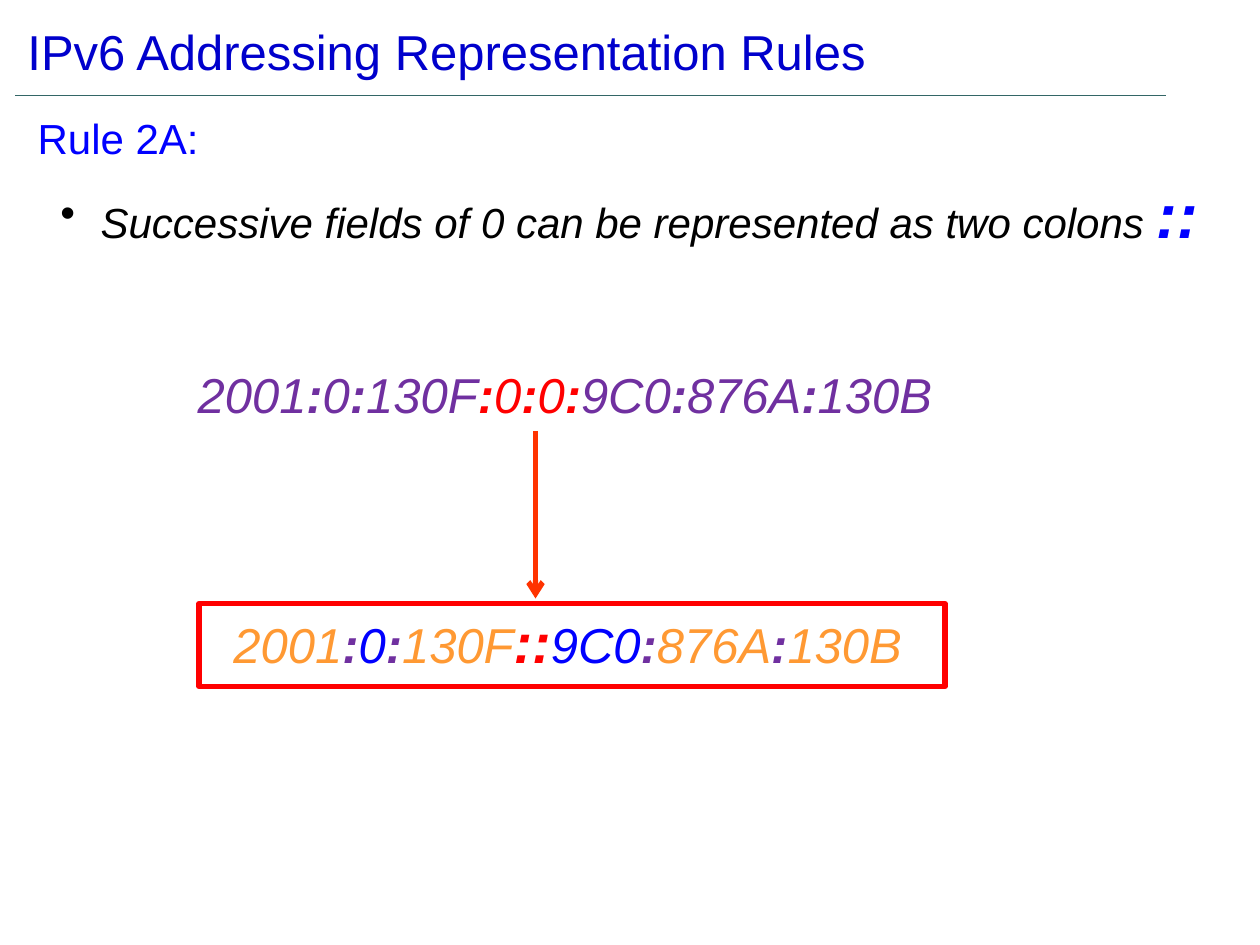
from lxml import etree
from pptx import Presentation
from pptx.dml.color import RGBColor
from pptx.enum.shapes import MSO_CONNECTOR, MSO_SHAPE
from pptx.enum.text import MSO_ANCHOR, PP_ALIGN
from pptx.oxml.ns import qn
from pptx.util import Inches, Pt

COLORS = {
    "white": "FFFFFF", "black": "000000", "title": "0000CC", "blue": "0000FF",
    "purple": "7030A0", "red": "FF0000", "orange": "FF9933",
    "arrow": "FF3300", "rule": "336666",
}

TITLE = [("IPv6 Addressing Representation Rules", "title", 28, {})]
RULE_NAME = [("Rule 2A:", "blue", 24, {})]
RULE_TEXT = [
    ("Successive fields of 0 can be represented as two colons ", "black", 24, {"italic": True}),
    ("::", "blue", 36, {"italic": True, "bold": True}),
]
FULL_ADDRESS = [
    ("2001", "purple"), (":", "purple"), ("0", "purple"), (":", "purple"),
    ("130F", "purple"), (":", "red"), ("0", "red"), (":", "red"), ("0", "red"),
    (":", "red"), ("9C0", "purple"), (":", "purple"), ("876A", "purple"),
    (":", "purple"), ("130B", "purple"),
]
SHORT_ADDRESS = [
    ("2001", "orange"), (":", "purple"), ("0", "blue"), (":", "purple"),
    ("130F", "orange"), ("::", "red"), ("9C0", "blue"), (":", "purple"),
    ("876A", "orange"), (":", "purple"), ("130B", "orange"),
]


def rgb(name):
    return RGBColor.from_string(COLORS[name])


def address_runs(fields):
    return [
        (text, color, 32 if text == "::" else 28,
         {"italic": True, "bold": text.startswith(":")})
        for text, color in fields
    ]


def add_text(box, paragraphs, anchor=MSO_ANCHOR.TOP, align=PP_ALIGN.LEFT):
    frame = slide.shapes.add_textbox(*map(Inches, box)).text_frame
    frame.word_wrap = True
    frame.vertical_anchor = anchor
    for index, runs in enumerate(paragraphs):
        paragraph = frame.add_paragraph() if index else frame.paragraphs[0]
        paragraph.alignment = align
        for text, color, size, style in runs:
            run = paragraph.add_run()
            run.text = text
            run.font.color.rgb = rgb(color)
            formats = {"name": "Arial", "size": Pt(size), **style}
            for attribute, value in formats.items():
                setattr(run.font, attribute, value)
    return frame.paragraphs


def indent(paragraph, margin, first=0):
    properties = paragraph._p.get_or_add_pPr()
    properties.set("marL", str(Inches(margin)))
    properties.set("indent", str(Inches(first)))
    return properties


def add_line(start, end, color, width, tail=None):
    connector = slide.shapes.add_connector(
        MSO_CONNECTOR.STRAIGHT, *map(Inches, start + end))
    connector.line.color.rgb = rgb(color)
    connector.line.width = Pt(width)
    if tail:
        etree.SubElement(connector.line._get_or_add_ln(), qn("a:tailEnd"), type=tail)
    etree.SubElement(connector._element.spPr, qn("a:effectLst"))


deck = Presentation()
deck.slide_width, deck.slide_height = Inches(10), Inches(7.5)
slide = deck.slides.add_slide(deck.slide_layouts[6])

add_line((0.12, 0.76), (9.25, 0.76), "rule", 0.75)
add_text((0.12, 0.13, 9.13, 0.55), [TITLE], MSO_ANCHOR.MIDDLE)

rule_paragraphs = add_text((0.2, 0.84, 9.72, 1.41), [RULE_NAME, RULE_TEXT])
for paragraph in rule_paragraphs:
    spacing = etree.SubElement(paragraph._p.get_or_add_pPr(), qn("a:spcBef"))
    etree.SubElement(spacing, qn("a:spcPct"), val="20000")
bullet = indent(rule_paragraphs[1], 0.5, -0.32)
bullet_color = etree.SubElement(bullet, qn("a:buClr"))
etree.SubElement(bullet_color, qn("a:srgbClr"), val=COLORS["black"])
etree.SubElement(bullet, qn("a:buFont"), typeface="Arial")
etree.SubElement(bullet, qn("a:buChar"), char="•")

result_frame = slide.shapes.add_shape(
    MSO_SHAPE.RECTANGLE, *map(Inches, (1.58, 4.79, 5.92, 0.66)))
result_frame.shadow.inherit = False
result_frame.fill.solid()
result_frame.fill.fore_color.rgb = rgb("white")
result_frame.line.color.rgb = rgb("red")
result_frame.line.width = Pt(3)

for box, fields, align in (
    ((0.97, 2.84, 7.92, 0.57), FULL_ADDRESS, PP_ALIGN.LEFT),
    ((0.17, 4.77, 8.17, 0.64), SHORT_ADDRESS, PP_ALIGN.CENTER),
):
    indent(add_text(box, [address_runs(fields)], align=align)[0], 0.5)

add_line((4.25, 3.42), (4.25, 4.75), "arrow", 3, "arrow")

deck.save("out.pptx")
